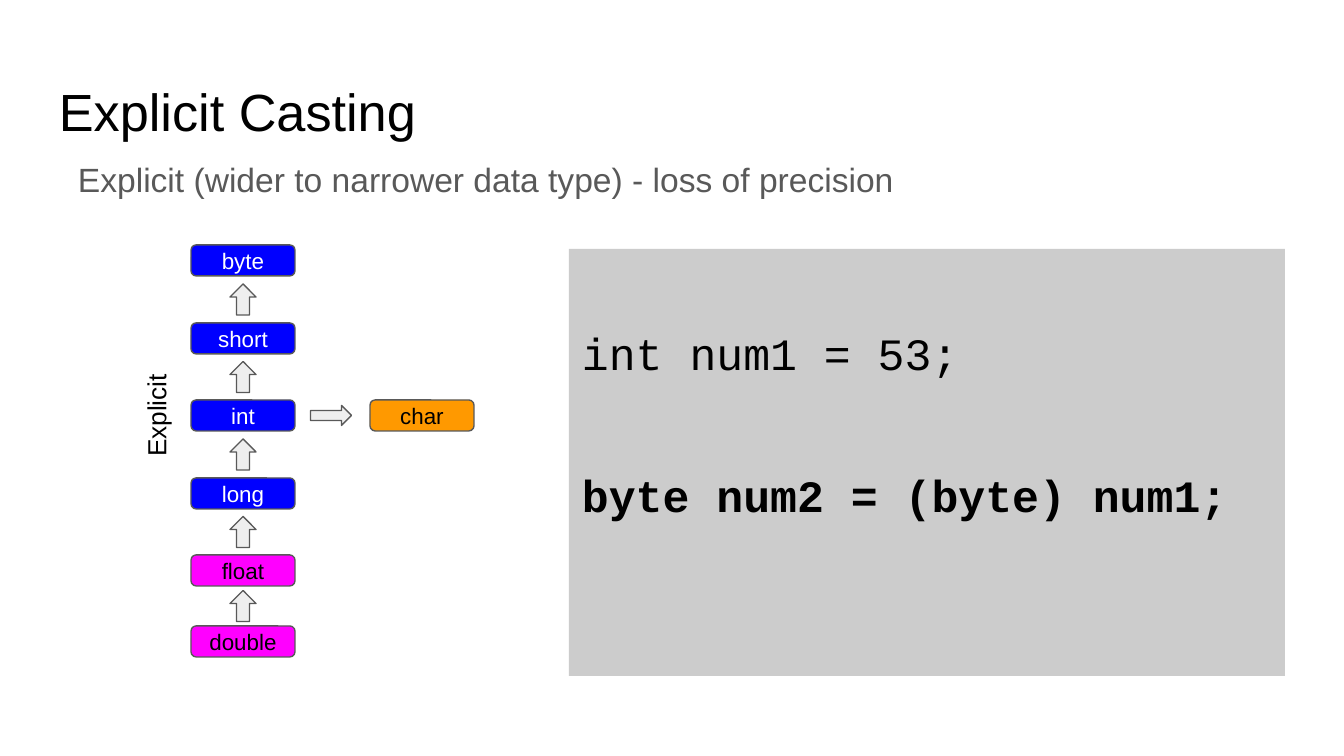
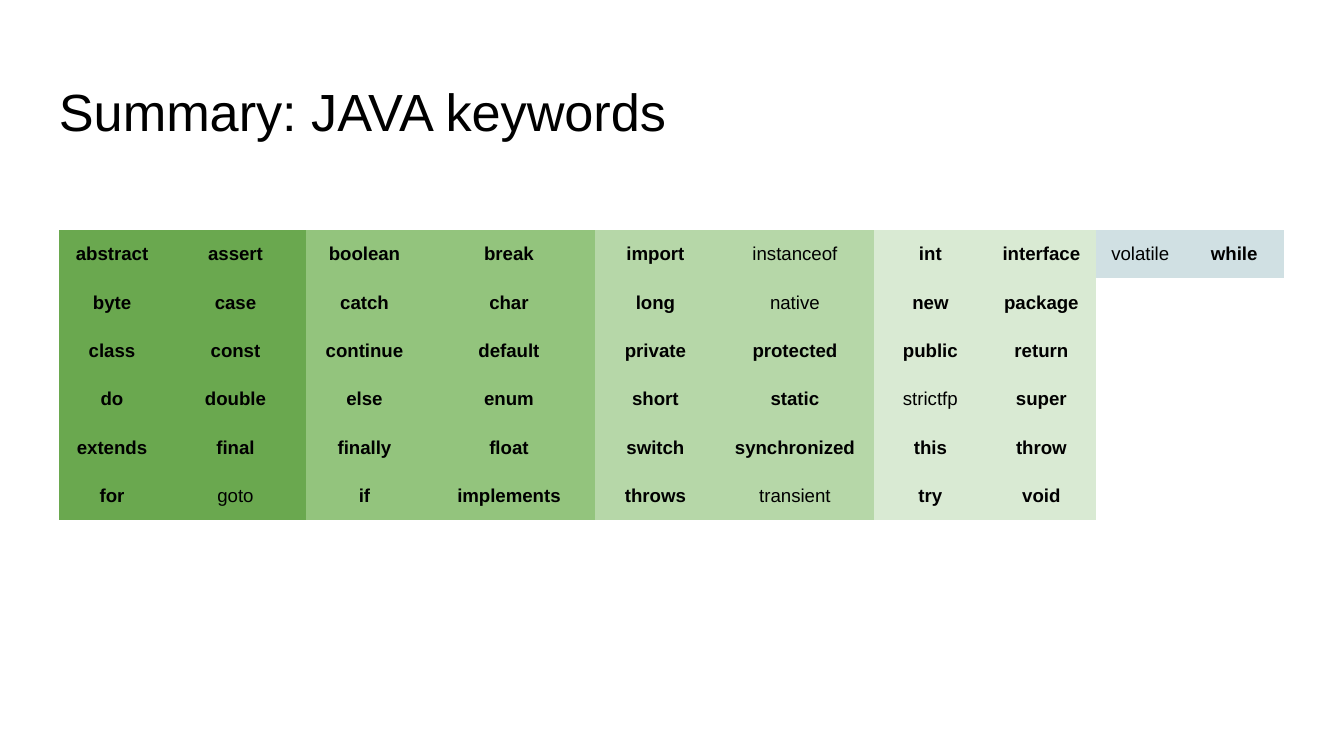
from dataclasses import dataclass

from lxml import etree
from pptx import Presentation
from pptx.dml.color import RGBColor
from pptx.enum.shapes import MSO_SHAPE
from pptx.enum.text import MSO_ANCHOR, PP_ALIGN
from pptx.oxml.ns import qn
from pptx.util import Pt

RECTANGLE = MSO_SHAPE.RECTANGLE
ROUNDED = MSO_SHAPE.ROUNDED_RECTANGLE
DOWN_ARROW = MSO_SHAPE.DOWN_ARROW
TOP = MSO_ANCHOR.TOP
MIDDLE = MSO_ANCHOR.MIDDLE
LEFT = PP_ALIGN.LEFT
CENTER = PP_ALIGN.CENTER

EMU_PER_PIXEL = 914400 / 134.4
BLANK_LAYOUT = 6
PLAIN_TABLE_STYLE = "{2D5ABB26-0587-4C30-8999-92F81FD0307C}"


@dataclass(frozen=True)
class Theme:
    sans: str = "Arial"
    mono: str = "Courier New"
    title_size: int = 28
    code_size: int = 24
    body_size: int = 18
    label_size: int = 14
    node_size: int = 12
    table_size: int = 10
    outline_width: float = 0.75
    inset: int = 13
    black: str = "000000"
    white: str = "FFFFFF"
    grey: str = "595959"
    panel: str = "CCCCCC"
    arrow: str = "EEEEEE"
    whole: str = "0000FF"
    decimal: str = "FF00FF"
    character: str = "FF9900"
    column_pairs: tuple = ("6AA84F", "93C47D", "B6D7A8", "D9EAD3", "D0E0E3")


THEME = Theme()

TITLE_BOX = (46, 66, 1253, 85)
SUBTITLE_BOX = (32, 140, 1253, 118)
CODE_BOX = (569, 249, 716, 427)
CHAIN_BOX = (191, 245, 104, 412)
KEYWORDS_BOX = (59, 230, 1225, 282)

NODE_HEIGHT = 31
ARROW_WIDTH = 26
CHAIN = [
    ("byte", 0, THEME.whole, THEME.white),
    ("short", 78, THEME.whole, THEME.white),
    ("int", 155, THEME.whole, THEME.white),
    ("long", 233, THEME.whole, THEME.white),
    ("float", 310, THEME.decimal, THEME.black),
    ("double", 381, THEME.decimal, THEME.black),
]

COLUMN_WIDTHS = [106, 141, 117, 172, 121, 158, 113, 109, 89, 99]
LIGHT_KEYWORDS = {"instanceof", "native", "strictfp", "goto", "transient", "volatile"}
KEYWORDS = [
    "abstract assert boolean break import instanceof int interface volatile while",
    "byte case catch char long native new package",
    "class const continue default private protected public return",
    "do double else enum short static strictfp super",
    "extends final finally float switch synchronized this throw",
    "for goto if implements throws transient try void",
]


def px(length):
    return round(length * EMU_PER_PIXEL)


def emu_box(box):
    return [px(length) for length in box]


def rgb(value):
    return RGBColor.from_string(value)


def write(paragraph, text, size, color, font=THEME.sans, bold=False, align=LEFT):
    paragraph.text = text
    paragraph.alignment = align
    for run in paragraph.runs:
        run.font.name = font
        run.font.size = Pt(size)
        run.font.bold = bold
        run.font.color.rgb = rgb(color)


def prepare_frame(shape, anchor):
    frame = shape.text_frame
    frame.word_wrap = True
    frame.vertical_anchor = anchor
    frame.margin_left = frame.margin_right = px(THEME.inset)
    frame.margin_top = frame.margin_bottom = px(THEME.inset)
    return frame


def add_label(slide, box, text, size, color, anchor=TOP, align=LEFT):
    label = slide.shapes.add_textbox(*emu_box(box))
    frame = prepare_frame(label, anchor)
    write(frame.paragraphs[0], text, size, color, align=align)
    return label


def add_block(slide, kind, box, fill, outlined=True):
    block = slide.shapes.add_shape(kind, *emu_box(box))
    block.shadow.inherit = False
    block.fill.solid()
    block.fill.fore_color.rgb = rgb(fill)
    if outlined:
        block.line.color.rgb = rgb(THEME.grey)
        block.line.width = Pt(THEME.outline_width)
    else:
        block.line.fill.background()
    return block


def add_node(slide, box, text, fill, color):
    node = add_block(slide, ROUNDED, box, fill)
    frame = prepare_frame(node, MIDDLE)
    write(frame.paragraphs[0], text, THEME.node_size, color, align=CENTER)


def add_arrow(slide, box, rotation):
    add_block(slide, DOWN_ARROW, box, THEME.arrow).rotation = rotation


def add_title(slide, box, text):
    add_label(slide, box, text, THEME.title_size, THEME.black)


def add_subtitle(slide, box, text):
    subtitle = add_label(slide, box, text, THEME.body_size, THEME.grey)
    paragraph = subtitle.text_frame.paragraphs[0]
    paragraph.line_spacing = 1.15
    paragraph.space_after = Pt(16)
    properties = paragraph._p.get_or_add_pPr()
    properties.set("marL", str(px(67)))
    properties.set("indent", str(px(-34)))


def add_code_panel(slide, box, declaration, cast):
    panel = add_block(slide, RECTANGLE, box, THEME.panel, outlined=False)
    frame = prepare_frame(panel, TOP)
    frame.margin_top = px(77)
    write(frame.paragraphs[0], declaration, THEME.code_size, THEME.black, THEME.mono)
    cast_line = frame.add_paragraph()
    write(cast_line, cast, THEME.code_size, THEME.black, THEME.mono, bold=True)
    cast_line.space_before = Pt(47)


def add_casting_chain(slide, box):
    left, top, width, height = box
    for name, offset, fill, color in CHAIN:
        add_node(slide, (left, top + offset, width, NODE_HEIGHT), name, fill, color)
    arrow_left = left + (width - ARROW_WIDTH) / 2
    for (_, upper, *_), (_, lower, *_) in zip(CHAIN, CHAIN[1:]):
        arrow_top = top + (upper + lower) / 2
        add_arrow(slide, (arrow_left, arrow_top, ARROW_WIDTH, NODE_HEIGHT), 180)

    int_top = top + CHAIN[2][1]
    add_node(slide, (left + 179, int_top, width, NODE_HEIGHT), "char",
             THEME.character, THEME.black)
    add_arrow(slide, (left + 130, int_top - 5, 20, 41), 270)
    direction = add_label(slide, (left - 141, int_top - 12, 212, 55), "Explicit",
                          THEME.label_size, THEME.black, MIDDLE, CENTER)
    direction.rotation = 270


def fill_keyword_cell(cell, keyword, fill):
    cell.vertical_anchor = MIDDLE
    cell.margin_left = cell.margin_right = px(THEME.inset)
    cell.margin_top = cell.margin_bottom = px(THEME.inset)
    paragraph = cell.text_frame.paragraphs[0]
    if keyword:
        cell.fill.solid()
        cell.fill.fore_color.rgb = rgb(fill)
        write(paragraph, keyword, THEME.table_size, THEME.black,
              bold=keyword not in LIGHT_KEYWORDS, align=CENTER)
    else:
        cell.fill.background()
        etree.SubElement(paragraph._p, qn("a:endParaRPr"),
                         sz=str(THEME.table_size * 100))


def add_keyword_table(slide, box):
    frame = slide.shapes.add_table(len(KEYWORDS), len(COLUMN_WIDTHS), *emu_box(box))
    table = frame.table
    table.first_row = False
    table.horz_banding = False
    table._tbl.tblPr.find(qn("a:tableStyleId")).text = PLAIN_TABLE_STYLE
    for column, width in zip(table.columns, COLUMN_WIDTHS):
        column.width = px(width)
    for row, line in zip(table.rows, KEYWORDS):
        row.height = px(box[3] / len(KEYWORDS))
        keywords = line.split()
        for index, cell in enumerate(row.cells):
            keyword = keywords[index] if index < len(keywords) else ""
            fill_keyword_cell(cell, keyword, THEME.column_pairs[index // 2])


def add_slide(deck, title):
    slide = deck.slides.add_slide(deck.slide_layouts[BLANK_LAYOUT])
    slide.background.fill.solid()
    slide.background.fill.fore_color.rgb = rgb(THEME.white)
    add_title(slide, TITLE_BOX, title)
    return slide


def build_casting_slide(deck):
    slide = add_slide(deck, "Explicit Casting")
    add_subtitle(slide, SUBTITLE_BOX,
                 "Explicit (wider to narrower data type) - loss of precision")
    add_code_panel(slide, CODE_BOX, "int num1 = 53;", "byte num2 = (byte) num1;")
    add_casting_chain(slide, CHAIN_BOX)


def build_keywords_slide(deck):
    slide = add_slide(deck, "Summary: JAVA keywords")
    add_keyword_table(slide, KEYWORDS_BOX)


deck = Presentation()
deck.slide_width = px(1344)
deck.slide_height = px(756)
build_casting_slide(deck)
build_keywords_slide(deck)
deck.save("out.pptx")
